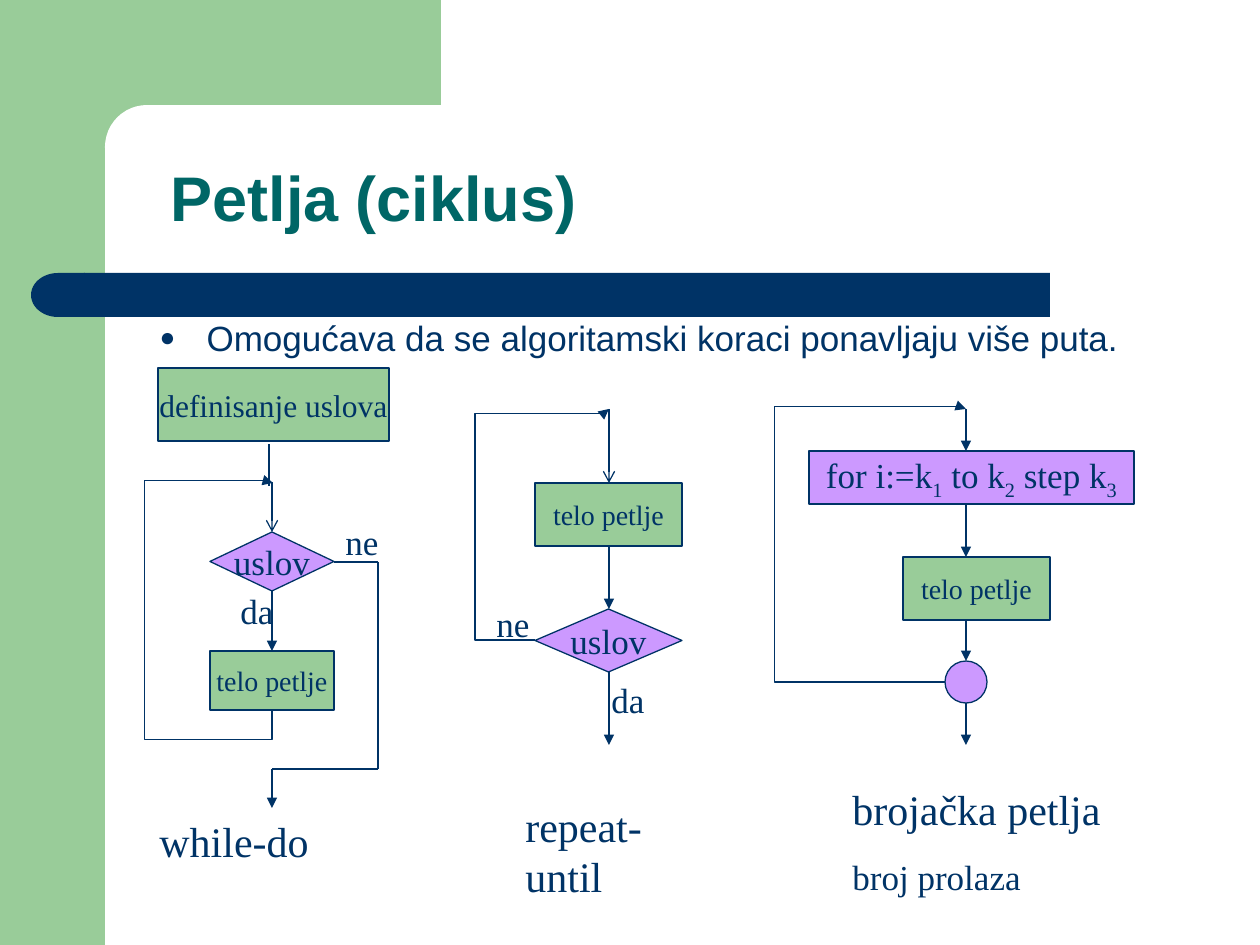
from lxml.etree import SubElement
from pptx import Presentation
from pptx.dml.color import RGBColor
from pptx.enum.shapes import MSO_CONNECTOR as Link, MSO_SHAPE as Shape
from pptx.enum.text import MSO_ANCHOR as Anchor, MSO_AUTO_SIZE as Fit, PP_ALIGN as Align
from pptx.oxml.ns import qn
from pptx.util import Emu, Pt

EMU_PER_PX = 914400 / 126
NAVY, TEAL, GREEN, VIOLET, WHITE = "003366", "006666", "99CC99", "CC99FF", "FFFFFF"
SERIF, SANS = "Times New Roman", "Arial"


def px(length):
    return Emu(round(length * EMU_PER_PX))


def color(hex_code):
    return RGBColor.from_string(hex_code)


class FlowSlide:
    """Holds the slide and the shared style of its elements."""

    def __init__(self, deck):
        self.slide = deck.slides.add_slide(deck.slide_layouts[1])
        self.shapes = self.slide.shapes

    def font(self, paragraph, size, face=SERIF, hex_code=NAVY, bold=False):
        font = paragraph.font
        font.name, font.size, font.bold = face, Pt(size), bold
        font.color.rgb = color(hex_code)

    def panel(self, kind, box, fill):
        panel = self.shapes.add_shape(kind, *map(px, box))
        panel.shadow.inherit = False
        panel.fill.solid()
        panel.fill.fore_color.rgb = color(fill)
        panel.line.fill.background()
        return panel

    def node(self, kind, box, fill, parts=(), size=20):
        """Outlined flowchart step; every second text part is a subscript."""
        node = self.panel(kind, box, fill)
        node.line.color.rgb = color(NAVY)
        node.line.width = Pt(0.75)
        frame = node.text_frame
        frame.word_wrap = False
        frame.vertical_anchor = Anchor.MIDDLE
        paragraph = frame.paragraphs[0]
        paragraph.alignment = Align.CENTER
        self.font(paragraph, size)
        for index, part in enumerate(parts):
            run = paragraph.add_run()
            run.text = part
            if index % 2:
                run._r.get_or_add_rPr().set("baseline", "-25000")

    def arrow(self, start, end, head="triangle", kind=Link.STRAIGHT):
        arrow = self.shapes.add_connector(kind, *map(px, start + end))
        arrow.line.color.rgb = color(NAVY)
        arrow.line.width = Pt(0.75)
        properties = arrow._element.spPr
        SubElement(properties, qn("a:effectLst"))
        if head:
            SubElement(arrow.line._get_or_add_ln(), qn("a:tailEnd"), type=head)
        return properties

    def loop_back(self, start, end, bends, turn=0):
        """Elbow arrow whose bends are fractions of its width and height."""
        properties = self.arrow(start, end, kind=Link.ELBOW)
        properties.find(qn("a:xfrm")).set("rot", str(turn * 60000))
        geometry = properties.find(qn("a:prstGeom"))
        geometry.set("prst", f"bentConnector{len(bends) + 2}")
        guides = geometry.find(qn("a:avLst"))
        for number, bend in enumerate(bends, 1):
            SubElement(guides, qn("a:gd"), name=f"adj{number}",
                       fmla=f"val {round(bend * 100000)}")

    def label(self, box, lines, wrap=False):
        """Text box from (text, size, space before) lines."""
        frame = self.shapes.add_textbox(*map(px, box)).text_frame
        frame.word_wrap = wrap
        for index, (text, size, space) in enumerate(lines):
            paragraph = frame.add_paragraph() if index else frame.paragraphs[0]
            paragraph.text = text
            paragraph.space_before = Pt(space)
            self.font(paragraph, size)

    def placeholder(self, holder, box, text, anchor):
        """Fills a template placeholder and lifts it above the backdrop."""
        self.shapes._spTree.append(holder._element)
        holder.left, holder.top, holder.width, holder.height = map(px, box)
        frame = holder.text_frame
        frame.auto_size = Fit.NONE
        frame.vertical_anchor = anchor
        paragraph = frame.paragraphs[0]
        paragraph.text = text
        paragraph.alignment = Align.LEFT
        return paragraph

    def title(self, box, text):
        paragraph = self.placeholder(self.shapes.title, box, text, Anchor.BOTTOM)
        paragraph.line_spacing = 0.9
        self.font(paragraph, 36, SANS, TEAL, True)

    def bullet(self, box, text):
        paragraph = self.placeholder(self.slide.placeholders[1], box, text, Anchor.TOP)
        paragraph.space_before = Pt(5)
        self.font(paragraph, 20, SANS)
        properties = paragraph._p.get_or_add_pPr()
        properties.set("marL", str(px(47)))
        properties.set("indent", str(px(-47)))
        marker = [SubElement(properties, qn("a:buSzPct"), val="75000"),
                  SubElement(properties, qn("a:buFont"), typeface=SANS),
                  SubElement(properties, qn("a:buChar"), char="●")]
        for element in marker:  # the schema wants bullets before the font
            properties.find(qn("a:defRPr")).addprevious(element)


def main():
    deck = Presentation()
    deck.slide_width, deck.slide_height = px(1260), px(945)
    page = FlowSlide(deck)

    # Backdrop
    page.panel(Shape.RECTANGLE, (0, 0, 105, 945), GREEN)
    page.panel(Shape.RECTANGLE, (94, 0, 347, 147), GREEN)
    page.panel(Shape.ROUNDED_RECTANGLE, (105, 105, 703, 84), WHITE).adjustments[0] = 0.5
    page.panel(Shape.RECTANGLE, (84, 273, 966, 44), NAVY)
    page.panel(Shape.FLOWCHART_DELAY, (31, 273, 54, 44), NAVY).rotation = 180

    # Title and statement
    page.title((158, 84, 1071, 158), "Petlja (ciklus)")
    page.bullet((147, 310, 1030, 567),
                "Omogućava da se algoritamski koraci ponavljaju više puta.")

    # while-do
    axis = 272
    page.node(Shape.FLOWCHART_DECISION, (210, 532, 124, 59), VIOLET, ["uslov"])
    page.node(Shape.FLOWCHART_PROCESS, (210, 651, 124, 59), GREEN, ["telo petlje"], 16)
    page.arrow((axis, 591), (axis, 651))
    page.arrow((axis, 482), (axis, 532), "arrow")
    page.loop_back((386, 597), (159, 596), (-0.13, -128.5, 1.01), turn=90)
    exit_path = [(334, 562), (378, 562), (378, 769), (axis, 769)]
    for start, end in zip(exit_path, exit_path[1:]):
        page.arrow(start, end, None)
    page.arrow((axis, 769), (axis, 808))
    page.node(Shape.RECTANGLE, (158, 368, 231, 73), GREEN, ["definisanje uslova"], 18)
    page.arrow((269, 486), (269, 444), None)

    # repeat-until
    axis = 609
    page.node(Shape.FLOWCHART_PROCESS, (535, 483, 147, 63), GREEN, ["telo petlje"], 16)
    page.node(Shape.FLOWCHART_DECISION, (535, 609, 147, 63), VIOLET, ["uslov"])
    page.arrow((axis, 546), (axis, 609))
    page.arrow((axis, 409), (axis, 483), "arrow")
    page.arrow((axis, 672), (axis, 745))
    page.loop_back((535, 640), (axis, 409), (-0.81, 0.98))

    # Counting loop
    axis = 966
    page.node(Shape.RECTANGLE, (809, 451, 325, 53), VIOLET,
              ["for i:=k", "1", " to k", "2", " step k", "3"])
    page.node(Shape.FLOWCHART_PROCESS, (903, 557, 147, 63), GREEN, ["telo petlje"], 16)
    page.node(Shape.FLOWCHART_CONNECTOR, (945, 661, 42, 42), VIOLET)
    for top, bottom in [(409, 451), (504, 557), (620, 661), (703, 745)]:
        page.arrow((axis, top), (axis, bottom))
    page.loop_back((945, 682), (axis, 409), (-8.13, 1.01))

    # Branch labels
    for left, top, answer in [(228, 583, "da"), (333, 514, "ne"),
                              (484, 596, "ne"), (599, 672, "da")]:
        page.label((left, top, 58, 55), [(answer, 20, 0)])

    # Loop names
    page.label((147, 809, 270, 63), [("while-do", 24, 15)], wrap=True)
    page.label((513, 794, 218, 63), [("repeat-until", 24, 0)])
    page.label((840, 777, 301, 127),
               [("brojačka petlja", 24, 15), ("broj prolaza", 20, 12.5)], wrap=True)

    deck.save("out.pptx")


if __name__ == "__main__":
    main()
